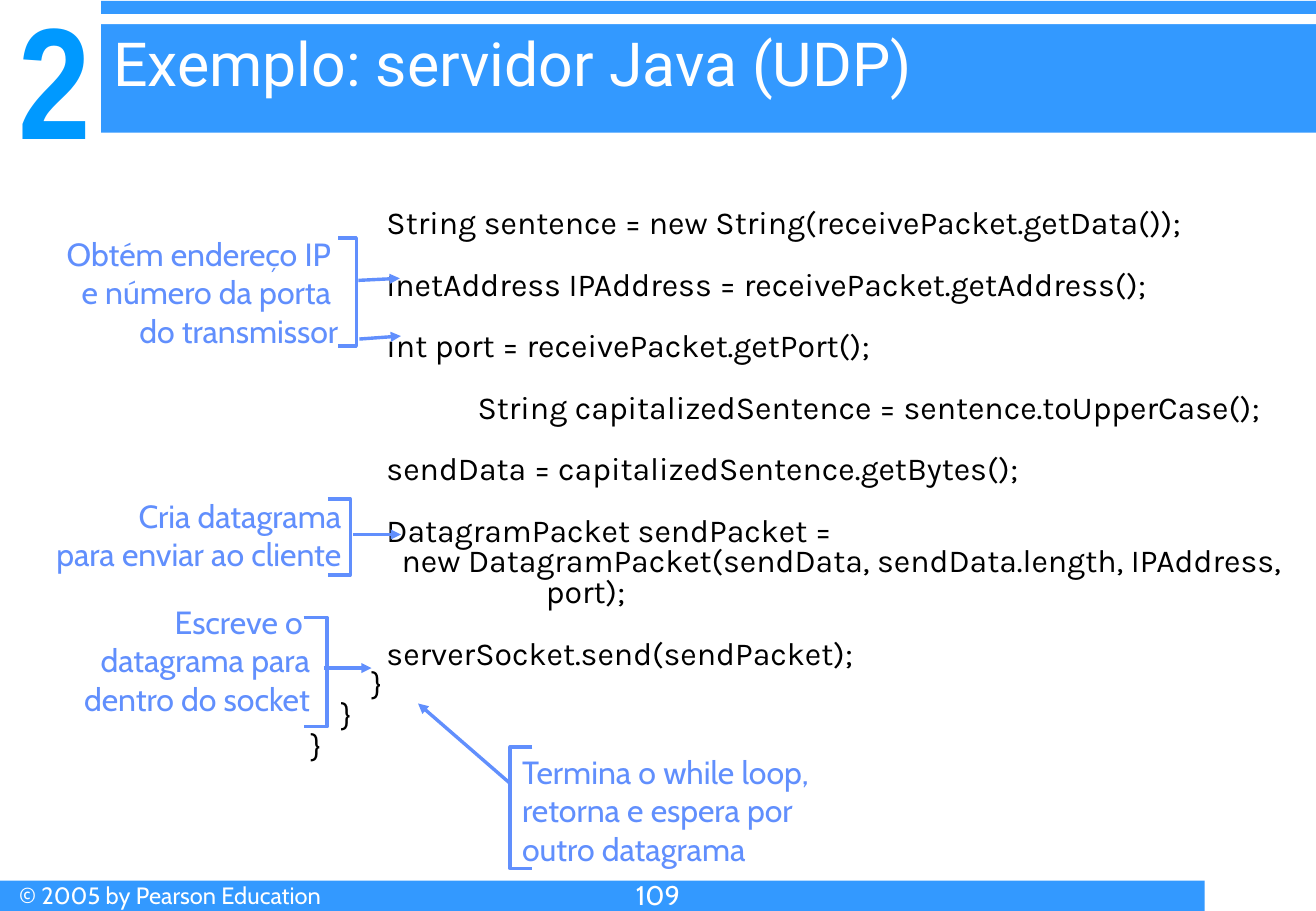
from lxml import etree
from pptx import Presentation
from pptx.dml.color import RGBColor
from pptx.enum.shapes import MSO_CONNECTOR, MSO_SHAPE
from pptx.enum.text import MSO_ANCHOR, PP_ALIGN
from pptx.oxml.ns import qn
from pptx.util import Emu, Inches, Pt

LEFT, MID, RIGHT = PP_ALIGN.LEFT, PP_ALIGN.CENTER, PP_ALIGN.RIGHT
TOP, CENTER, BOTTOM = MSO_ANCHOR.TOP, MSO_ANCHOR.MIDDLE, MSO_ANCHOR.BOTTOM
RECT, STRAIGHT = MSO_SHAPE.RECTANGLE, MSO_CONNECTOR.STRAIGHT

COLS, ROWS = 130, 90
CELL = Inches(1) // 12
BLUE, WHITE, BLACK, SKY, NOTE = "3399FF", "FFFFFF", "000000", "0099FF", "618FFD"

# Blocks of code, set apart by one empty line's height
CODE = [
    ["          String sentence = new String(receivePacket.getData());"],
    ["          InetAddress IPAddress = receivePacket.getAddress();"],
    ["          int port = receivePacket.getPort();"],
    ["                      String capitalizedSentence = sentence.toUpperCase();"],
    ["          sendData = capitalizedSentence.getBytes();"],
    ["          DatagramPacket sendPacket =",
     "            new DatagramPacket(sendData, sendData.length, IPAddress,",
     "                               port);"],
    ["          serverSocket.send(sendPacket);",
     "        }",
     "    }",
     "}"],
]

# Text, box, alignment, bracket (tip x, spine x, top, bottom), arrows
NOTES = [
    ("Obtém endereço IP \ne número da porta \ndo transmissor",
     (4.8, 18.7, 29.8, 20.3), RIGHT, (33.4, 35.2, 23.5, 34.2),
     [(35.4, 27.7, 39.5, 27.5), (35.5, 33.5, 39.6, 33.2)]),
    ("Cria datagrama\npara enviar ao cliente",
     (0.6, 48.4, 34.3, 8.9), RIGHT, (32.4, 34.6, 49.3, 56.8),
     [(34.9, 52.8, 39.6, 52.8)]),
    ("Escreve o \ndatagrama para\ndentro do socket",
     (3.5, 58.9, 28.3, 12.6), RIGHT, (30, 32.3, 61, 71.8),
     [(32, 66, 36.7, 66)]),
    ("Termina o while loop,\nretorna e espera por\noutro datagrama",
     (50.4, 73.7, 34.3, 12.6), LEFT, (52.6, 50.4, 73.8, 85.8),
     [(50.4, 77.4, 41.3, 69.5)]),
]


def grid(*cells):
    return [Emu(round(n * CELL)) for n in cells]


def rgb(code):
    return RGBColor.from_string(code)


def add_bar(slide, box, color):
    bar = slide.shapes.add_shape(RECT, *grid(*box))
    bar.shadow.inherit = False
    bar.fill.solid()
    bar.fill.fore_color.rgb = rgb(color)
    bar.line.fill.background()


def add_text(slide, text, box, font, size, color, align=LEFT, anchor=TOP):
    frame = slide.shapes.add_textbox(*grid(*box)).text_frame
    frame.word_wrap = True
    frame.vertical_anchor = anchor
    frame.text = text
    for para in frame.paragraphs:
        para.alignment = align
        for run in para.runs:
            run.font.name = font
            run.font.size = Pt(size)
            run.font.color.rgb = rgb(color)
    return frame


def add_code(slide, blocks, box):
    text = "\n".join(line for block in blocks for line in block)
    frame = add_text(slide, text, box, "Karla", 19, BLACK, anchor=CENTER)
    paras = iter(frame.paragraphs)
    for num, block in enumerate(blocks):
        for row in range(len(block)):
            para = next(paras)
            para.line_spacing = 0.8
            if num and row == 0:
                para.space_before = Pt(18.2)


def set_line(shape):
    shape.line.color.rgb = rgb(NOTE)
    shape.line.width = Pt(2)


def add_bracket(slide, tip, spine, top, low):
    start, *rest = [grid(*spot) for spot in
                    [(tip, top), (spine, top), (spine, low), (tip, low)]]
    path = slide.shapes.build_freeform(*start)
    path.add_line_segments(rest, close=False)
    shape = path.convert_to_shape()
    shape.shadow.inherit = False
    shape.fill.background()
    set_line(shape)


def add_arrow(slide, ends):
    arrow = slide.shapes.add_connector(STRAIGHT, *grid(*ends))
    set_line(arrow)
    etree.SubElement(arrow.line._get_or_add_ln(), qn("a:tailEnd"), type="triangle")
    etree.SubElement(arrow._element.spPr, qn("a:effectLst"))


def add_frame(slide):
    """Header, chapter number and footer."""
    add_bar(slide, (10, 0.1, 120, 13), BLUE)
    add_bar(slide, (10, 1.4, 120, 1), WHITE)
    add_bar(slide, (0, 87, 119, 3), BLUE)
    digit = add_text(slide, "2", (0.4, 0, 10, 16.9), "Arial Narrow", 94, SKY, MID, BOTTOM)
    digit.margin_left = digit.margin_right = digit.margin_top = digit.margin_bottom = 0
    digit.paragraphs[0].runs[0].font.bold = True
    add_text(slide, "© 2005 by Pearson Education", (0.7, 86.4, 40, 3.6),
             "Cabin", 14, WHITE)
    add_text(slide, "109", (0, 86.2, COLS, 3.8), "Cabin", 16, WHITE, MID)
    add_text(slide, "Exemplo: servidor Java (UDP)", (10, 2, 120, 10), "Roboto", 36, WHITE)


def main():
    deck = Presentation()
    deck.slide_width, deck.slide_height = grid(COLS, ROWS)
    slide = deck.slides.add_slide(deck.slide_layouts[6])
    add_frame(slide)
    add_code(slide, CODE, (29.5, 19.7, 100.5, 56.8))
    for text, box, align, bracket, arrows in NOTES:
        add_text(slide, text, box, "Cabin", 19, NOTE, align, CENTER)
        add_bracket(slide, *bracket)
        for ends in arrows:
            add_arrow(slide, ends)
    deck.save("out.pptx")


if __name__ == "__main__":
    main()
